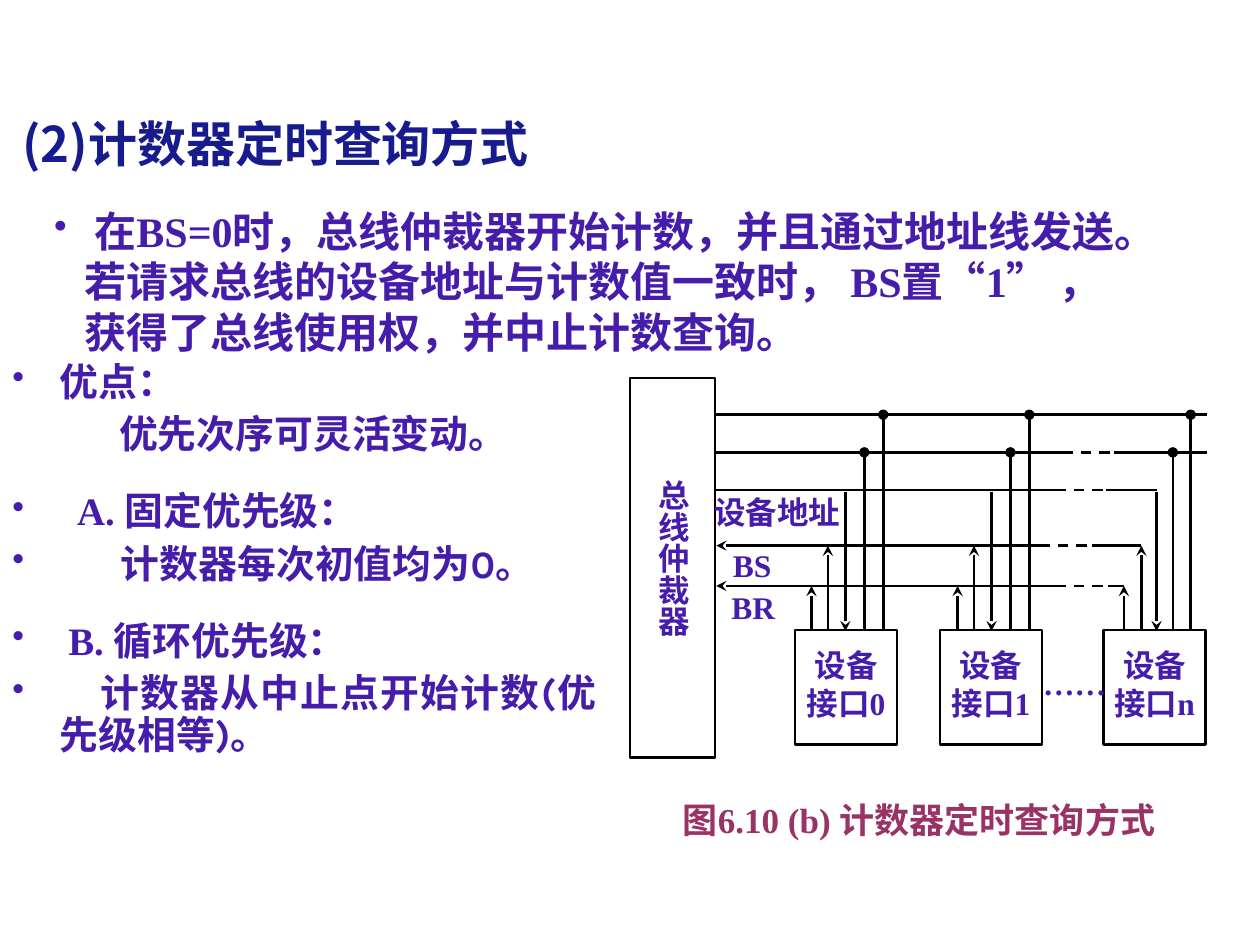
from lxml.etree import SubElement
from pptx import Presentation
from pptx.dml.color import RGBColor
from pptx.enum.dml import MSO_LINE
from pptx.enum.shapes import MSO_CONNECTOR, MSO_SHAPE
from pptx.enum.text import MSO_ANCHOR, PP_ALIGN
from pptx.oxml.ns import qn
from pptx.util import Pt

INK = {"title": "181B8E", "text": "461DAB", "caption": "993366",
       "line": "000000", "fill": "FFFFFF"}
ROMAN, HAN, DIGIT = "Times New Roman", "Noto Sans CJK SC", "Karla"


def color(name):
    return RGBColor.from_string(INK[name])


def add_run(para, text, size, font=ROMAN, ink="text"):
    run = para.add_run()
    run.text = text
    run.font.size, run.font.bold, run.font.name = Pt(size), True, font
    run.font.color.rgb = color(ink)
    SubElement(run.font._element, qn("a:ea"), typeface=HAN)


def add_frame(slide, box, inset=(0, 0)):
    frame = slide.shapes.add_textbox(*map(Pt, box)).text_frame
    frame.word_wrap = True
    frame.margin_left = frame.margin_right = Pt(inset[0])
    frame.margin_top = frame.margin_bottom = Pt(inset[1])
    return frame


def set_indent(para, left, first=0, bullet=True, tab=None):
    props = para._p.get_or_add_pPr()
    props.set("marL", str(Pt(left)))
    props.set("indent", str(Pt(first)))
    if bullet:
        tint = SubElement(props, qn("a:buClr"))
        SubElement(tint, qn("a:srgbClr"), val=INK["text"])
        SubElement(props, qn("a:buSzPct"), val="90000")
        SubElement(props, qn("a:buChar"), char="•")
    if tab:
        stops = SubElement(props, qn("a:tabLst"))
        SubElement(stops, qn("a:tab"), pos=str(Pt(tab)), algn="l")


def add_label(slide, box, lines, align=PP_ALIGN.CENTER, size=18, ink="text"):
    frame = add_frame(slide, box)
    for i, line in enumerate(lines):
        para = frame.add_paragraph() if i else frame.paragraphs[0]
        para.alignment = align
        add_run(para, line, size, ink=ink)
    return frame


def add_rect(slide, box):
    rect = slide.shapes.add_shape(MSO_SHAPE.RECTANGLE, *map(Pt, box))
    rect.shadow.inherit = False
    rect.fill.solid()
    rect.fill.fore_color.rgb = color("fill")
    rect.line.color.rgb = color("line")
    rect.line.width = Pt(1.5)


def add_wire(slide, start, end, tip=None, dash=False):
    wire = slide.shapes.add_connector(
        MSO_CONNECTOR.STRAIGHT, *map(Pt, (*start, *end)))
    wire.line.color.rgb = color("line")
    wire.line.width = Pt(1.5)
    if dash:
        wire.line.dash_style = MSO_LINE.DASH
    if tip:
        SubElement(wire.line._get_or_add_ln(), qn("a:tailEnd"), type=tip)
    SubElement(wire._element.spPr, qn("a:effectLst"))


def add_title(slide, box):
    frame = add_frame(slide, box, (7.2, 3.6))
    frame.vertical_anchor = MSO_ANCHOR.BOTTOM
    add_run(frame.paragraphs[0], "(2)计数器定时查询方式", 28, HAN, "title")


def add_intro(slide, box):
    para = add_frame(slide, box, (7.2, 3.6)).paragraphs[0]
    set_indent(para, 17.6, -17.6)
    for text, font in (
            (" 在", HAN),
            ("BS=0时，总线仲裁器开始计数，并且通过地址线发送。"
             "若请求总线的设备地址与计数值一致时， BS置“1” ", ROMAN),
            ("，获得了总线使用权，并中止计数查询。", HAN)):
        add_run(para, text, 24, font)


def add_points(slide, box):
    # Each item: space before, indent settings, runs
    items = (
        (0, dict(left=27, first=-27), [("优点：", ROMAN)]),
        (6, dict(left=61, bullet=False), [("优先次序可灵活变动。", ROMAN)]),
        (20, dict(left=37, first=-37), [("A. 固定优先级：", ROMAN)]),
        (6, dict(left=62, first=-62),
         [("计数器每次初值均为", ROMAN), ("0", DIGIT), ("。", ROMAN)]),
        (20, dict(left=32, first=-32), [("B. 循环优先级：", ROMAN)]),
        (6, dict(left=27, first=-27, tab=50),
         [("\t计数器从中止点开始计数", ROMAN), ("(", DIGIT),
          ("优先级相等", ROMAN), (")。", DIGIT)]),
    )
    frame = add_frame(slide, box, (7.2, 3.6))
    for i, (gap, indent, runs) in enumerate(items):
        para = frame.add_paragraph() if i else frame.paragraphs[0]
        set_indent(para, **indent)
        para.alignment = PP_ALIGN.JUSTIFY
        para.line_spacing, para.space_before = 0.9, Pt(gap)
        for text, font in runs:
            add_run(para, text, 22.2, font)


def add_device(slide, box, name, first, steps, rails):
    x, y, w, h = box
    add_rect(slide, box)
    add_label(slide, (x - 5, y + 9, w + 10, 50), ("设备", "接口" + name))
    # Request, busy, address and two upper bus taps
    tips = ("stealth", "stealth", None, "oval", "oval")
    for step, rail, tip in zip(steps, rails, tips):
        low, high = (first + step, y + 0.7), (first + step, rail)
        if tip:
            add_wire(slide, low, high, tip)
        else:
            add_wire(slide, high, low, "stealth")


def add_diagram(slide, box):
    x, y, w, h = box
    # Arbiter
    add_rect(slide, (x, y, 48.5, h))
    name = add_label(slide, (x + 14.4, y + 58.3, 21, 121), ("总线仲裁器",),
                     PP_ALIGN.JUSTIFY)
    name._txBody.bodyPr.set("vert", "eaVert")

    # Bus lines: height, end of solid part, end of dashes, end, arrow
    top, data, addr, busy, ask = 21, 42.5, 64, 95.8, 118.8
    for rail, solid, dash, end, tip in (
            (top, w, w, w, None),
            (data, 247, 276.5, w, None),
            (addr, 243, 272, 301, None),
            (busy, 234, 264, 292.3, "stealth"),
            (ask, 243, 273, 282.2, "stealth")):
        add_wire(slide, (x + solid, y + rail), (x + 49.3, y + rail), tip)
        if solid < w:
            add_wire(slide, (x + solid, y + rail), (x + dash, y + rail),
                     dash=True)
            add_wire(slide, (x + dash, y + rail), (x + end, y + rail))

    # Device interfaces
    wide, tight = (0, 9.4, 19.4, 30.2, 41), (0, 10, 18.7, 28, 38.2)
    rails = [y + rail for rail in (ask, busy, addr + 1, data, top)]
    for name, left, first, steps in (
            ("0", 94.3, 103.7, wide), ("1", 177.1, 187.2, wide),
            ("n", 270.7, 282.2, tight)):
        add_device(slide, (x + left, y + 144, 58.3, 65.5), name,
                   x + first, steps, rails)

    # Line labels
    for text, left, drop, width in (
            ("设备地址", 36.7, 65.5, 95), ("BS", 53.3, 95.8, 33),
            ("BR", 54, 120.2, 33), ("……", 235.4, 163.4, 37.4)):
        add_label(slide, (x + left, y + drop, width, 27), (text,))

    # Caption
    add_label(slide, (x + 30.2, y + 240.5, 291, 29.5),
              ("图6.10 (b) 计数器定时查询方式",), PP_ALIGN.JUSTIFY, 20, "caption")


def main():
    deck = Presentation()
    deck.slide_width, deck.slide_height = Pt(720), Pt(540)
    slide = deck.slides.add_slide(deck.slide_layouts[6])
    add_title(slide, (5.8, 54.7, 354, 47.5))
    add_points(slide, (0, 203.8, 347.8, 257.8))
    add_intro(slide, (23.8, 113.8, 624, 93.6))
    add_diagram(slide, (360, 216, 329.8, 216.7))
    deck.save("out.pptx")


if __name__ == "__main__":
    main()
